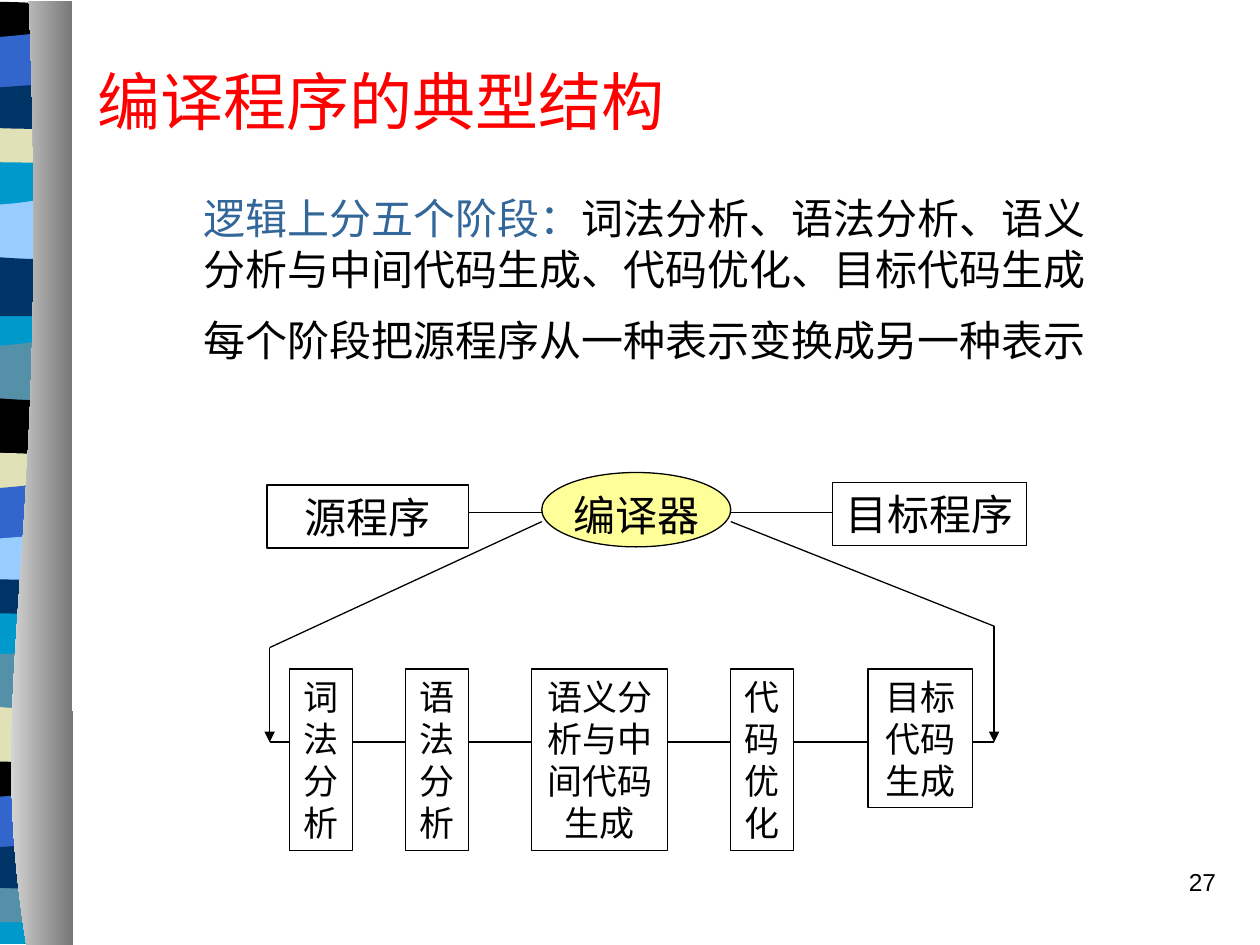
from dataclasses import dataclass

from pptx import Presentation
from pptx.dml.color import RGBColor as RGB
from pptx.enum.shapes import MSO_CONNECTOR as CONN, MSO_SHAPE as SHAPE
from pptx.enum.text import MSO_ANCHOR as ANCHOR, MSO_AUTO_SIZE as FIT, PP_ALIGN as ALIGN
from pptx.oxml.ns import qn
from pptx.util import Inches, Pt


@dataclass(frozen=True)
class Theme:
    cjk: str = "Noto Sans CJK SC"
    latin: str = "Arial"
    ink: str = "000000"
    paper: str = "FFFFFF"
    title: str = "FF0000"
    lead: str = "336699"
    compiler: str = "FFFF99"
    cyan: str = "0099CC"
    teal: str = "5490A8"
    sand: str = "E1E1B7"
    blue: str = "3366CC"
    navy: str = "003366"
    sky: str = "99CCFF"
    curtain: tuple = ("FFFFFF", "767676")
    title_pt: int = 36
    body_pt: int = 24
    stage_pt: int = 20
    number_pt: int = 14
    line_pt: float = 0.75


T = Theme()
WIDTH, HEIGHT = Inches(10), Inches(7.5)
CELL = WIDTH // 100  # the slide is a grid of 100 columns by 75 rows

# Ribbon outlines in cells from the ribbon's left and the stack's top:
# upper edge left to right, lower edge right to left, as Bezier chains.
BANDS = {
    "wave": ([(0, 0.8), (7.6, 1.7), (9.1, 0), (11, 0.8)], [(11, 5.5), (0, 5.5)]),
    "swell": ([(0, 5.2), (1.8, 4.5), (7.6, 5.8), (11, 5.2)], [(11, 9.9), (0, 9.9)]),
    "thin": ([(0, 19.5), (1.8, 19.1), (9.1, 19.1), (11, 19.5)],
             [(11, 21.9), (10.3, 22.4), (8.6, 22.3), (6.8, 22.3),
              (4.9, 22.3), (1.4, 22), (0, 21.9)]),
    "arch": ([(0, 10), (1.8, 9.4), (9.1, 9.4), (11, 10)],
             [(11, 13.2), (4.2, 12.7), (2.3, 13.2), (0, 13.2)]),
    "dip": ([(0, 11.9), (1.7, 12.4), (2.4, 12.4), (4.2, 12.4),
             (6.1, 12.4), (9.3, 11.9), (11, 11.9)], [(11, 16.6), (0, 16.6)]),
    "ripple": ([(0, 16.4), (0.7, 15.8), (2.4, 16.4), (4.2, 16.4),
                (6.1, 16.4), (9.9, 15.8), (11, 16.4)],
               [(11, 19.4), (9.4, 19.9), (3.5, 19.4), (0, 19.4)]),
}
# Top row of each stack, with the colours of its bands from back to front.
STACKS = [
    (50.9, dict(wave=T.teal, swell=T.sand, thin=T.teal, arch=T.ink, dip=T.blue, ripple=T.navy)),
    (26.4, dict(wave=T.teal, swell=T.ink, thin=T.navy, arch=T.sand, dip=T.blue, ripple=T.sky)),
    (15.2, dict(wave=T.sky, swell=T.navy)),
    (-9.4, dict(thin=T.sand, arch=T.ink, dip=T.blue, ripple=T.navy)),
]


def cells(*values):
    return [round(v * CELL) for v in values]


def set_attrs(target, values):
    for name, value in values.items():
        setattr(target, name, value)


def bend(sp, edges):
    """Turn the straight segments of each edge longer than a pair into Beziers."""
    outline = sp._element.find(".//" + qn("a:path"))
    nodes, first = list(outline), 0
    for edge in edges:
        if len(edge) > 2:
            for i in range(first + 1, first + len(edge), 3):
                bezier = outline.makeelement(qn("a:cubicBezTo"), {})
                nodes[i].addprevious(bezier)
                for node in nodes[i:i + 3]:
                    bezier.append(node[0])
                    outline.remove(node)
        first += len(edge)


def add_outline(shapes, edges, color=None, left=0, top=0):
    pts = [cells(left + x, top + y) for edge in edges for x, y in edge]
    fb = shapes.build_freeform(*pts[0], scale=1.0)
    fb.add_line_segments(pts[1:], close=True)
    sp = fb.convert_to_shape()
    bend(sp, edges)
    sp.shadow.inherit = False
    sp.line.fill.background()
    if color:
        sp.fill.solid()
        sp.fill.fore_color.rgb = RGB.from_string(color)
    return sp


def add_ribbon(slide, master):
    """Draw the side ribbon and hand it to the master, behind everything."""
    group = slide.shapes.add_group_shape()
    shapes, left = group.shapes, -5.7
    add_outline(shapes, [[(0, 0.3), (11, 0.3)], [(11, 74.9), (0, 74.9)]], T.cyan, left)
    for top, colors in STACKS:
        for band, color in colors.items():
            add_outline(shapes, BANDS[band], color, left, top)
    sp = add_outline(shapes, [[(2.1, 75), (-1.4, 53.3), (4.1, 45.4), (2.3, 0.1)],
                              [(5.7, 0.1), (5.8, 75)]])
    sp.fill.gradient()
    sp.fill.gradient_angle = 0
    for stop, color, at in zip(sp.fill.gradient_stops, T.curtain, (0, 1)):
        stop.position = at
        stop.color.rgb = RGB.from_string(color)
    master.shapes._spTree.insert(2, group._element)


def write(tf, paragraphs, size, align=ALIGN.LEFT, font=T.cjk, gap=0, **frame):
    """Fill a frame with paragraphs, each a list of (text, colour) runs."""
    set_attrs(tf, dict(word_wrap=True, auto_size=FIT.NONE, vertical_anchor=ANCHOR.TOP) | frame)
    for i, runs in enumerate(paragraphs):
        p = tf.add_paragraph() if i else tf.paragraphs[0]
        set_attrs(p, dict(alignment=align, space_before=Pt(gap if i else 0)))
        for text, color in runs:
            r = p.add_run()
            r.text = text
            set_attrs(r.font, dict(name=font, size=Pt(size)))
            r.font.color.rgb = RGB.from_string(color)
            ea = r.font._element.makeelement(qn("a:ea"), {"typeface": font})
            r.font._element.find(qn("a:latin")).addnext(ea)


def add_text(slide, box, paragraphs, size, **style):
    sp = slide.shapes.add_textbox(*cells(*box))
    write(sp.text_frame, paragraphs, size, **style)


def add_node(slide, box, lines, size, kind=SHAPE.RECTANGLE, fill=T.paper, **frame):
    sp = slide.shapes.add_shape(kind, *cells(*box))
    sp.shadow.inherit = False
    sp.fill.solid()
    sp.fill.fore_color.rgb = RGB.from_string(fill)
    sp.line.color.rgb = RGB.from_string(T.ink)
    sp.line.width = Pt(T.line_pt)
    write(sp.text_frame, [[(line, T.ink)] for line in lines], size, ALIGN.CENTER,
          **(dict(auto_size=FIT.SHAPE_TO_FIT_TEXT) | frame))


def add_line(slide, start, end, arrow=False):
    c = slide.shapes.add_connector(CONN.STRAIGHT, *cells(*start, *end))
    c.line.color.rgb = RGB.from_string(T.ink)
    c.line.width = Pt(T.line_pt)
    pr = c._element.spPr
    pr.append(pr.makeelement(qn("a:effectLst"), {}))
    if arrow:
        ln = c.line._get_or_add_ln()
        ln.append(ln.makeelement(qn("a:tailEnd"), {"type": "triangle"}))


def add_title(slide, text):
    sp = slide.shapes.title
    set_attrs(sp, dict(zip(("left", "top", "width", "height"), cells(6.7, 1.7, 91.2, 12.5))))
    write(sp.text_frame, [[(text, T.title)]], T.title_pt, vertical_anchor=ANCHOR.MIDDLE)


def add_diagram(slide):
    stage_row, (left, right) = 58.9, (21.4, 78.9)
    add_line(slide, (24, 40.7), (81.5, 40.7))
    add_line(slide, (left, stage_row), (right, stage_row))
    for x, start, corner in ((left, 43, 51.4), (right, 58, 49.7)):
        add_line(slide, (start, 41.4), (x, corner))
        add_line(slide, (x, corner), (x, stage_row), arrow=True)

    stages = [(23, 5, 14.4, ["词法", "分析"]), (32.2, 5, 14.4, ["语法分析"]),
              (42.2, 10.8, 14.4, ["语义分析与中间代码生成"]),
              (58, 5, 14.4, ["代码优化"]), (68.9, 8.3, 11, ["目标代码生成"])]
    for x, w, h, lines in stages:
        add_node(slide, (x, 53.1, w, h), lines, T.stage_pt)
    add_node(slide, (21.2, 38.5, 16, 5), ["源程序"], T.body_pt)
    add_node(slide, (43, 37.5, 15, 5.9), ["编译器"], T.body_pt, SHAPE.OVAL, T.compiler,
             word_wrap=False, auto_size=FIT.NONE)
    add_node(slide, (66.1, 38.3, 15.4, 5), ["目标程序"], T.body_pt)


def main():
    prs = Presentation()
    set_attrs(prs, dict(slide_width=WIDTH, slide_height=HEIGHT))
    slide = prs.slides.add_slide(prs.slide_layouts[5])
    add_ribbon(slide, prs.slide_master)
    add_title(slide, "编译程序的典型结构")
    add_diagram(slide)
    add_text(slide, (15.2, 14.8, 74.1, 14.7), [
        [("逻辑上分五个阶段：", T.lead),
         ("词法分析、语法分析、语义分析与中间代码生成、代码优化、目标代码生成", T.ink)],
        [("每个阶段把源程序从一种表示变换成另一种表示", T.ink)],
    ], T.body_pt, gap=12, auto_size=FIT.SHAPE_TO_FIT_TEXT)
    add_text(slide, (76.7, 68.3, 20.8, 5), [[("27", T.ink)]], T.number_pt,
             align=ALIGN.RIGHT, font=T.latin)
    prs.save("out.pptx")


if __name__ == "__main__":
    main()
